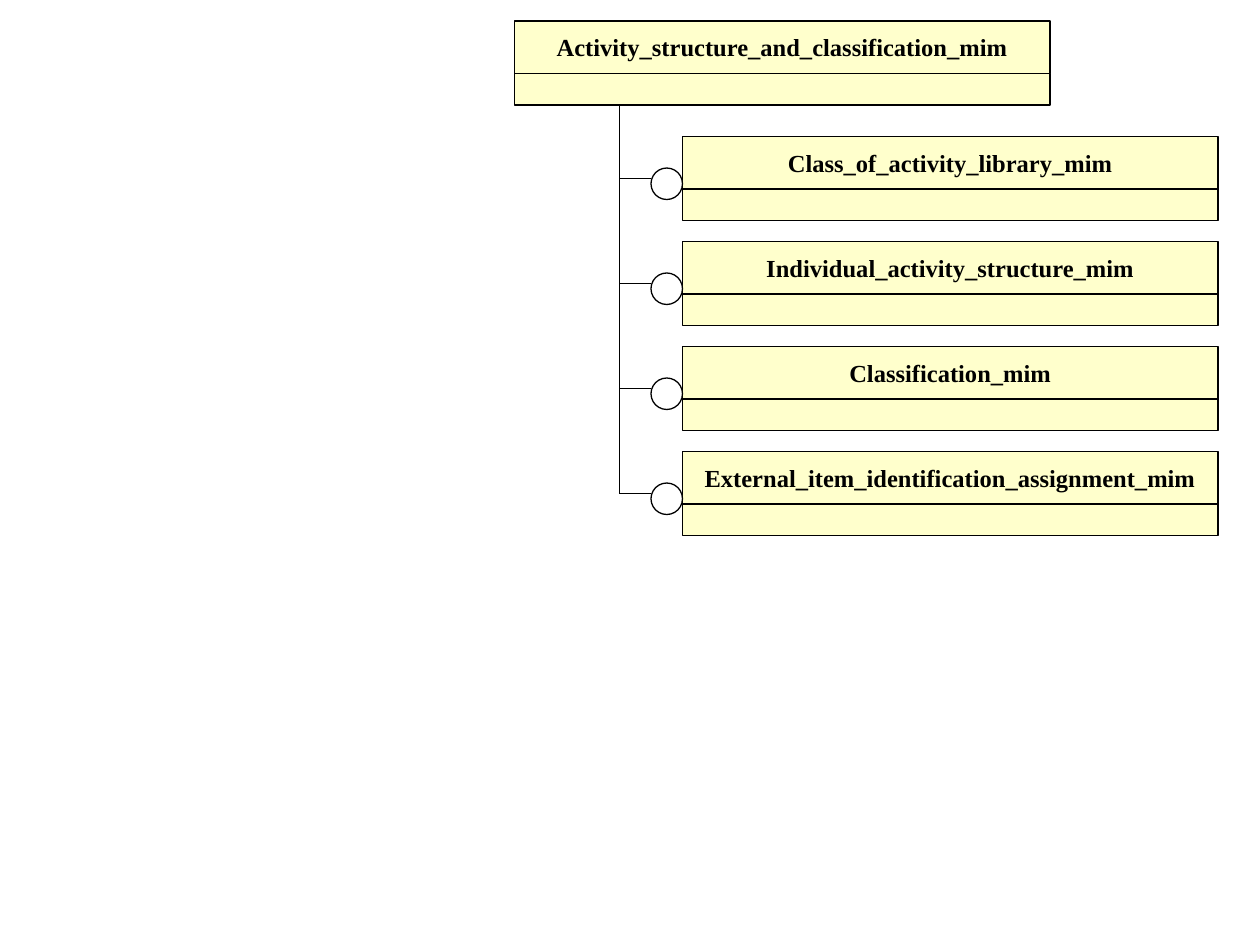
from dataclasses import dataclass

from pptx import Presentation
from pptx import util as u
from pptx.dml.color import RGBColor
from pptx.enum import shapes, text
from pptx.oxml.ns import qn
from lxml import etree


@dataclass(frozen=True)
class Theme:
    box: RGBColor = RGBColor(0xFF, 0xFF, 0xCC)
    node: RGBColor = RGBColor(0xFF, 0xFF, 0xFF)
    ink: RGBColor = RGBColor(0, 0, 0)
    font: str = "Times New Roman"
    size: u.Pt = u.Pt(14)
    stroke: u.Pt = u.Pt(0.75)


THEME = Theme()

# Grid: 12 units to the inch, 120 columns by 90 rows
COLS, ROWS = 120, 90
BOX_W, NAME_H, BODY_H = 51, 5, 3
ROOT = (49, 2)
CHILD_X, CHILD_Y, PITCH = 65, 13, 10
TRUNK_X, NODE = 59, 3
NODE_DY, BRANCH_DY = 3, 4

ROOT_NAME = "Activity_structure_and_classification_mim"
CHILD_NAMES = [
    "Class_of_activity_library_mim",
    "Individual_activity_structure_mim",
    "Classification_mim",
    "External_item_identification_assignment_mim",
]


def g(units):
    return u.Inches(units / 12)


def add_part(parent, kind, x, y, w, h, fill):
    sp = parent.shapes.add_shape(kind, g(x), g(y), g(w), g(h))
    sp.shadow.inherit = False
    sp.fill.solid()
    sp.fill.fore_color.rgb = fill
    sp.line.color.rgb = THEME.ink
    sp.line.width = THEME.stroke
    return sp


def add_line(s, x1, y1, x2, y2):
    ln = s.shapes.add_connector(shapes.MSO_CONNECTOR.STRAIGHT,
                                g(x1), g(y1), g(x2), g(y2))
    ln.line.color.rgb = THEME.ink
    ln.line.width = THEME.stroke
    etree.SubElement(ln._element.spPr, qn("a:effectLst"))


def add_module(s, x, y, name):
    """A grouped box: name compartment above an empty one."""
    grp = s.shapes.add_group_shape()
    rect = shapes.MSO_SHAPE.RECTANGLE
    sp = add_part(grp, rect, x, y, BOX_W, NAME_H, THEME.box)
    add_part(grp, rect, x, y + NAME_H, BOX_W, BODY_H, THEME.box)

    tf = sp.text_frame
    tf.word_wrap = False
    tf.vertical_anchor = text.MSO_ANCHOR.MIDDLE
    p = tf.paragraphs[0]
    p.alignment = text.PP_ALIGN.CENTER
    r = p.add_run()
    r.text = name
    r.font.name = THEME.font
    r.font.size = THEME.size
    r.font.bold = True
    r.font.color.rgb = THEME.ink


def add_child(s, x, y, name):
    """A module with its circle and its branch from the trunk."""
    add_module(s, x, y, name)
    add_part(s, shapes.MSO_SHAPE.OVAL, x - NODE, y + NODE_DY, NODE, NODE, THEME.node)
    add_line(s, TRUNK_X, y + BRANCH_DY, x - NODE, y + BRANCH_DY)


def build_tree(s):
    # Root module
    x, y = ROOT
    add_module(s, x, y, ROOT_NAME)

    # Trunk, from the last branch up to the root
    last_y = CHILD_Y + PITCH * (len(CHILD_NAMES) - 1)
    add_line(s, TRUNK_X, last_y + BRANCH_DY, TRUNK_X, y + NAME_H + BODY_H)

    # Child modules
    for i, name in enumerate(CHILD_NAMES):
        add_child(s, CHILD_X, CHILD_Y + PITCH * i, name)


def main():
    prs = Presentation()
    prs.slide_width, prs.slide_height = g(COLS), g(ROWS)
    s = prs.slides.add_slide(prs.slide_layouts[6])
    build_tree(s)
    prs.save("out.pptx")


if __name__ == "__main__":
    main()
